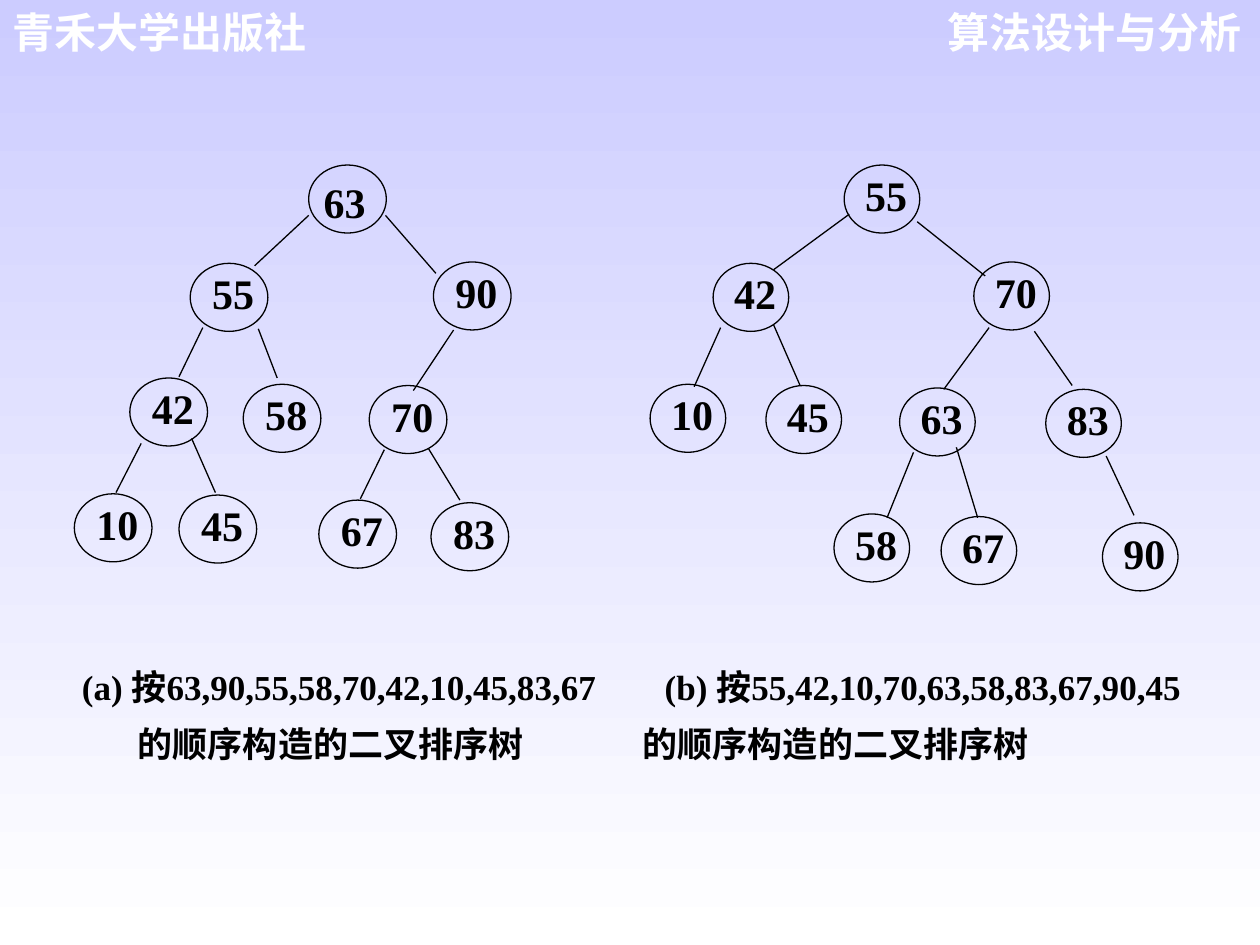
from lxml.etree import SubElement
from pptx import Presentation
from pptx.dml.color import RGBColor
from pptx.enum.shapes import MSO_CONNECTOR, MSO_SHAPE
from pptx.enum.text import PP_ALIGN
from pptx.oxml.ns import qn
from pptx.util import Pt

BLACK = RGBColor(0x00, 0x00, 0x00)
WHITE = RGBColor(0xFF, 0xFF, 0xFF)
LAVENDER = RGBColor(0xCC, 0xCC, 0xFF)

NODE_HEIGHT = 38.9
LINE_WIDTH = 0.75

# Nodes are (key, left, top); edges are (x1, y1, x2, y2). Both are relative to the tree's box.
TREE_A_NODES = [
    (63, 133.9, 0),
    (55, 66.2, 56.2), (90, 205.2, 55.4),
    (42, 31.7, 121.7), (58, 96.5, 125.3), (70, 168.5, 126),
    (10, 0, 187.9), (45, 59.8, 188.6), (67, 139.7, 191.5), (83, 203.8, 193),
]
TREE_A_EDGES = [
    (133.9, 28.8, 103, 57.6), (177.8, 28.8, 206.6, 61.9),
    (73.4, 92.9, 59.8, 121), (105.1, 93.6, 115.9, 121.7), (216.7, 94.3, 193.7, 128.9),
    (38.2, 159.1, 23.8, 187.2), (67, 156.2, 80.6, 187.2),
    (177.1, 162.7, 163.4, 190.8), (202.3, 162, 220.3, 191.5),
]
TREE_B_NODES = [
    (55, 110.9, 0),
    (42, 36, 56.2), (70, 185, 55.4),
    (10, 0, 125.3), (45, 66.2, 126), (63, 142.6, 127.4), (83, 226.1, 128.2),
    (58, 105.1, 199.4), (67, 166.3, 200.9), (90, 258.5, 204.5),
]
TREE_B_EDGES = [
    (113.8, 28.1, 70.6, 59.8), (152.6, 32.4, 191.5, 63.4),
    (40.3, 92.9, 25.2, 126.7), (70.6, 91.4, 85.7, 126),
    (193.7, 92.9, 167.8, 128.2), (219.6, 95, 241.2, 126),
    (150.5, 164.2, 135.4, 201.6), (175, 161.3, 187.2, 201.6), (260.6, 166.3, 276.5, 200.2),
]

# Each caption line comes with its tab stops.
CAPTION_LINES = [
    ("(a) 按63,90,55,58,70,42,10,45,83,67\t(b) 按55,42,10,70,63,58,83,67,90,45", [333]),
    ("\t的顺序构造的二叉排序树\t的顺序构造的二叉排序树", [32, 320.5]),
]


def add_text_box(page, left, top, width, height, insets):
    """Add a wrapping text box; insets are left, top, right and bottom."""
    box = page.shapes.add_textbox(Pt(left), Pt(top), Pt(width), Pt(height))
    frame = box.text_frame
    frame.word_wrap = True
    (frame.margin_left, frame.margin_top,
     frame.margin_right, frame.margin_bottom) = map(Pt, insets)
    return frame


def style_paragraph(para, size, font_name, color, alignment):
    para.alignment = alignment
    font = para.font
    font.size, font.name, font.bold = Pt(size), font_name, True
    font.color.rgb = color


def set_background(page):
    fill = page.background.fill
    fill.gradient()
    fill.gradient_angle = 270
    for stop, color in zip(fill.gradient_stops, (LAVENDER, WHITE)):
        stop.color.rgb = color


def add_header(page, left, text, alignment):
    frame = add_text_box(page, left, 0, 195, 36, (7.2, 3.6, 7.2, 3.6))
    para = frame.paragraphs[0]
    para.text = text
    style_paragraph(para, 24, "Arial", WHITE, alignment)


def add_edge(page, x1, y1, x2, y2):
    edge = page.shapes.add_connector(MSO_CONNECTOR.STRAIGHT, Pt(x1), Pt(y1), Pt(x2), Pt(y2))
    edge.line.color.rgb = BLACK
    edge.line.width = Pt(LINE_WIDTH)
    SubElement(edge.element.spPr, qn("a:effectLst"))


def add_node(page, key, left, top, width, label_shift):
    """Draw a node and its key; label_shift moves the key from its usual place."""
    oval = page.shapes.add_shape(
        MSO_SHAPE.OVAL, Pt(left), Pt(top), Pt(width), Pt(NODE_HEIGHT))
    oval.shadow.inherit = False
    oval.fill.background()
    oval.line.color.rgb = BLACK
    oval.line.width = Pt(LINE_WIDTH)

    shift_x, shift_y = label_shift
    frame = add_text_box(page, left + 6 + shift_x, top - 6 + shift_y,
                         width - 7.2, 45, (1.5, 8.6, 1.5, 0.7))
    para = frame.paragraphs[0]
    para.text = str(key)
    style_paragraph(para, 24, "Times New Roman", BLACK, PP_ALIGN.CENTER)


def add_tree(page, left, top, node_width, nodes, edges, root_shift=(0, 0)):
    for x1, y1, x2, y2 in edges:
        add_edge(page, left + x1, top + y1, left + x2, top + y2)
    for index, (key, x, y) in enumerate(nodes):
        label_shift = root_shift if index == 0 else (0, 0)
        add_node(page, key, left + x, top + y, node_width, label_shift)


def add_captions(page, left, top, width, height):
    frame = add_text_box(page, left, top, width, height, (4.3, 0, 4.3, 0))
    for index, (text, stops) in enumerate(CAPTION_LINES):
        para = frame.add_paragraph() if index else frame.paragraphs[0]
        para.text = text
        para.line_spacing = 1.35
        tab_list = SubElement(para._p.get_or_add_pPr(), qn("a:tabLst"))
        for stop in stops:
            SubElement(tab_list, qn("a:tab"), pos=str(int(Pt(stop))), algn="l")
        style_paragraph(para, 20, "Times New Roman", BLACK, PP_ALIGN.LEFT)


def main():
    deck = Presentation()
    deck.slide_width, deck.slide_height = Pt(720), Pt(540)
    page = deck.slides.add_slide(deck.slide_layouts[6])
    set_background(page)
    add_header(page, 521.3, "算法设计与分析", PP_ALIGN.RIGHT)
    add_header(page, 0, "青禾大学出版社", PP_ALIGN.LEFT)
    add_captions(page, 42.5, 372.2, 652.3, 67.7)
    add_tree(page, 42.5, 94.3, 44.4, TREE_A_NODES, TREE_A_EDGES, root_shift=(-4, 4))
    add_tree(page, 371.5, 94.3, 43.2, TREE_B_NODES, TREE_B_EDGES)
    deck.save("out.pptx")


if __name__ == "__main__":
    main()
